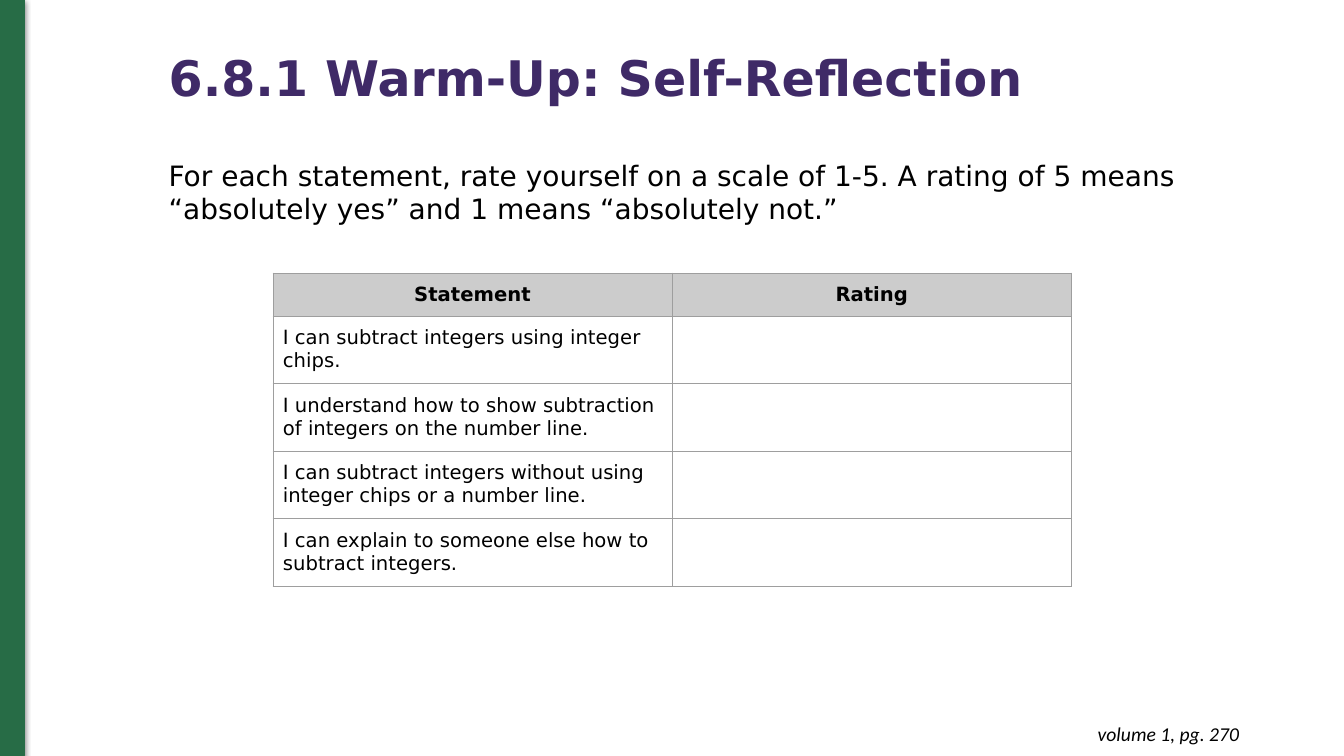
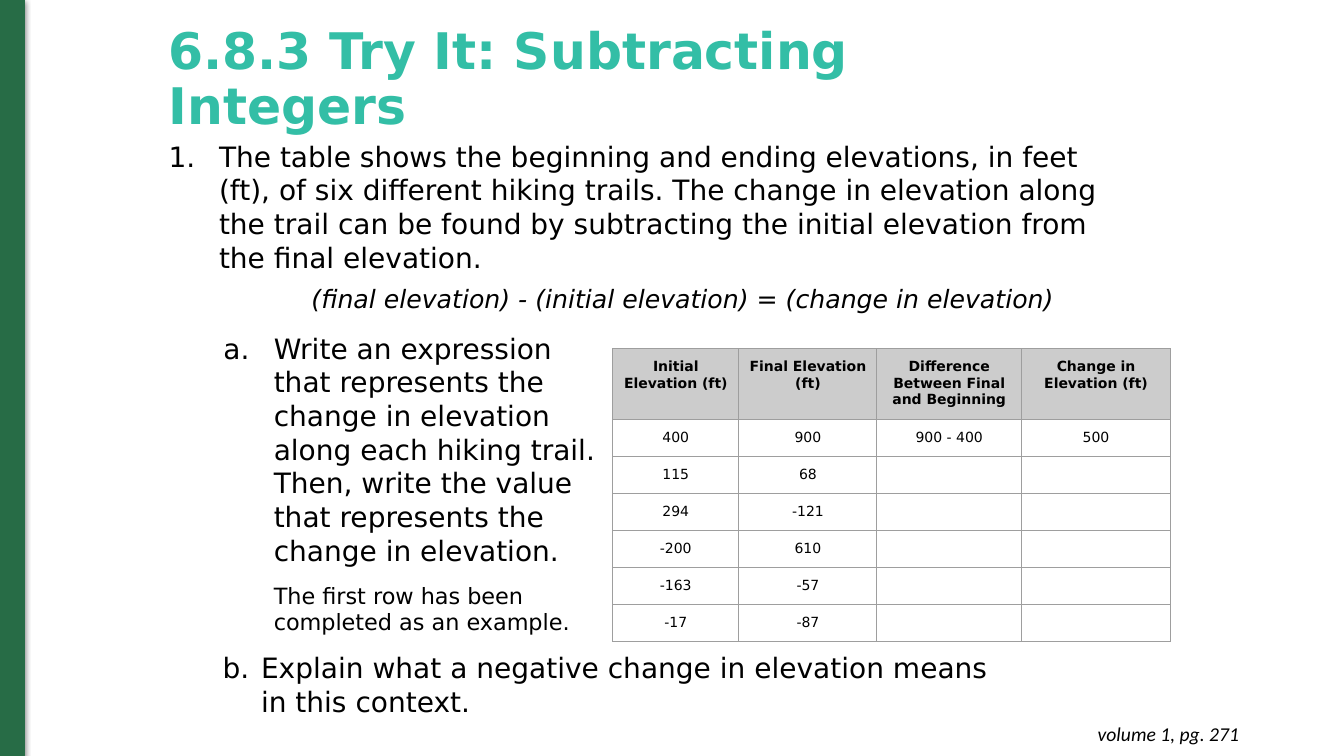
"""Build two lesson slides on subtracting integers."""
from lxml.etree import SubElement
from pptx import Presentation
from pptx.dml.color import RGBColor
from pptx.enum.shapes import MSO_SHAPE
from pptx.enum.text import MSO_ANCHOR, MSO_AUTO_SIZE, PP_ALIGN
from pptx.oxml.ns import qn
from pptx.util import Cm, Pt

COLORS = {
    "band": "276C46", "purple": "3F2A67", "teal": "33BEA6", "text": "000000",
    "header": "CCCCCC", "border": "9E9E9E", "shadow": "000000",
}
FONT = "DejaVu Sans"
WIDE_INSET, FLAT_INSET = 0.25, 0.13
SLIDE_SIZE = (33.87, 19.05)
BAND = (0, 0, 0.61, 19.05)
TITLE_BOX = (4, 0.19, 22.28, 3.68)
FOOTER = {"box": (24.16, 17.93, 7.32, 1.12),
          "font": {"size": 14, "name": "Calibri", "italic": True}, "align": PP_ALIGN.RIGHT}

SLIDES = [
    {
        "title": "6.8.1 Warm-Up: Self-Reflection",
        "title_font": {"size": 35, "color": "purple"},
        "footer": "volume 1, pg. 270",
        "texts": [
            {"text": "For each statement, rate yourself on a scale of 1-5. A rating of 5 means "
                     "“absolutely yes” and 1 means “absolutely not.”",
             "box": (4, 3.86, 26.54, 1.96), "inset": FLAT_INSET},
        ],
        "table": {
            "origin": (6.88, 6.88), "columns": (10.06, 10.06), "rows": (1.09, 1.7),
            "size": 14, "align": PP_ALIGN.LEFT,
            "cells": [
                ("Statement", "Rating"),
                ("I can subtract integers using integer chips.", ""),
                ("I understand how to show subtraction of integers on the number line.", ""),
                ("I can subtract integers without using integer chips or a number line.", ""),
                ("I can explain to someone else how to subtract integers.", ""),
            ],
        },
    },
    {
        "title": "6.8.3 Try It: Subtracting Integers",
        "title_font": {"size": 36, "color": "teal"},
        "footer": "volume 1, pg. 271",
        "texts": [
            {"text": "The table shows the beginning and ending elevations, in feet (ft), of six "
                     "different hiking trails. The change in elevation along the trail can be found "
                     "by subtracting the initial elevation from the final elevation.",
             "box": (4, 3.38, 24.51, 3.68), "inset": FLAT_INSET,
             "number": {"type": "arabicPeriod"}, "indent": 1.27},
            {"text": "(final elevation) - (initial elevation) = (change in elevation)",
             "box": (7.6, 6.88, 20.35, 1.27), "font": {"size": 18, "italic": True}},
            {"text": "Write an expression that represents the change in elevation along each "
                     "hiking trail. Then, write the value that represents the change in elevation.",
             "box": (5.38, 8.1, 10.29, 7.34),
             "number": {"type": "alphaLcPeriod"}, "indent": 1.27},
            {"text": "The first row has been completed as an example.",
             "box": (6.65, 14.53, 8.36, 1.63), "inset": FLAT_INSET, "font": {"size": 16}},
            {"text": "Explain what a negative change in elevation means in this context.",
             "box": (5.36, 16.15, 20.22, 2.24),
             "number": {"type": "alphaLcPeriod", "startAt": "2"}, "indent": 0.97},
        ],
        "table": {
            "origin": (15.44, 8.79), "columns": (3.18, 3.48, 3.64, 3.76), "rows": (1.79, 0.93),
            "size": 10, "align": PP_ALIGN.CENTER,
            "cells": [
                ("Initial Elevation (ft)", "Final Elevation (ft)",
                 "Difference Between Final and Beginning", "Change in Elevation (ft)"),
                ("400", "900", "900 - 400", "500"),
                ("115", "68", "", ""),
                ("294", "-121", "", ""),
                ("-200", "610", "", ""),
                ("-163", "-57", "", ""),
                ("-17", "-87", "", ""),
            ],
        },
    },
]


def rgb(name):
    return RGBColor.from_string(COLORS[name])


def place(shape, box):
    for attribute, value in zip(("left", "top", "width", "height"), box):
        setattr(shape, attribute, Cm(value))


def add_color(parent, name):
    fill = SubElement(parent, qn("a:solidFill"))
    return SubElement(fill, qn("a:srgbClr"), val=COLORS[name])


def write(paragraph, text, align=PP_ALIGN.LEFT, **formats):
    values = {"name": FONT, "size": 20, "bold": False, "italic": False, "color": "text"} | formats
    color = values.pop("color")
    values["size"] = Pt(values["size"])
    paragraph.alignment = align
    run = paragraph.add_run()
    run.text = text
    for attribute, value in values.items():
        setattr(run.font, attribute, value)
    run.font.color.rgb = rgb(color)


def set_insets(frame, vertical):
    frame.margin_left = frame.margin_right = Cm(WIDE_INSET)
    frame.margin_top = frame.margin_bottom = Cm(vertical)


def add_number(paragraph, number, indent):
    properties = paragraph._p.get_or_add_pPr()
    properties.set("marL", str(Cm(indent)))
    properties.set("indent", str(-Cm(indent)))
    bullet_color = SubElement(properties, qn("a:buClr"))
    SubElement(bullet_color, qn("a:srgbClr"), val=COLORS["text"])
    SubElement(properties, qn("a:buFont"), typeface=FONT)
    SubElement(properties, qn("a:buAutoNum"), **number)


def add_text(slide, text, box, inset=WIDE_INSET, font=None, number=None, indent=0,
             align=PP_ALIGN.LEFT):
    frame = slide.shapes.add_textbox(*map(Cm, box)).text_frame
    frame.word_wrap = True
    set_insets(frame, inset)
    paragraph = frame.paragraphs[0]
    if number:
        add_number(paragraph, number, indent)
    write(paragraph, text, align, **(font or {}))


def add_band(slide):
    band = slide.shapes.add_shape(MSO_SHAPE.RECTANGLE, *map(Cm, BAND))
    band.fill.solid()
    band.fill.fore_color.rgb = band.line.color.rgb = rgb("band")
    band.line.width = Pt(0.75)
    band.shadow.inherit = False
    effects = band._element.spPr.find(qn("a:effectLst"))
    shadow = SubElement(effects, qn("a:outerShdw"), blurRad=str(Pt(4.5)), dist=str(Pt(1.5)),
                        dir="5400000", algn="bl", rotWithShape="0")
    color = SubElement(shadow, qn("a:srgbClr"), val=COLORS["shadow"])
    SubElement(color, qn("a:alpha"), val="49000")


def set_title(slide, text, font):
    title = slide.shapes.title
    place(title, TITLE_BOX)
    frame = title.text_frame
    frame.word_wrap = True
    frame.auto_size = MSO_AUTO_SIZE.NONE
    frame.vertical_anchor = MSO_ANCHOR.MIDDLE
    set_insets(frame, FLAT_INSET)
    frame.paragraphs[0].line_spacing = 0.9
    write(frame.paragraphs[0], text, bold=True, **font)


def format_cell(cell, text, size, align, is_header):
    set_insets(cell, WIDE_INSET)
    paragraph = cell.text_frame.paragraphs[0]
    if text:
        write(paragraph, text, align, size=size, bold=is_header)
    else:
        SubElement(paragraph._p, qn("a:endParaRPr"), sz=str(size * 100))
    properties = cell._tc.get_or_add_tcPr()
    for side in ("lnL", "lnR", "lnT", "lnB"):
        add_color(SubElement(properties, qn(f"a:{side}"), w=str(Pt(0.75))), "border")
    if is_header:
        cell.fill.solid()
        cell.fill.fore_color.rgb = rgb("header")
    else:
        cell.fill.background()


def add_grid(slide, origin, columns, rows, size, align, cells):
    header_height, row_height = rows
    heights = [header_height] + [row_height] * (len(cells) - 1)
    box = (*origin, sum(columns), sum(heights))
    table = slide.shapes.add_table(len(cells), len(columns), *map(Cm, box)).table
    table.first_row = table.horz_banding = False
    for column, width in zip(table.columns, columns):
        column.width = Cm(width)
    for index, (row, height, texts) in enumerate(zip(table.rows, heights, cells)):
        row.height = Cm(height)
        for cell, text in zip(row.cells, texts):
            format_cell(cell, text, size, PP_ALIGN.CENTER if index == 0 else align, index == 0)


def main():
    presentation = Presentation()
    presentation.slide_width, presentation.slide_height = map(Cm, SLIDE_SIZE)
    for content in SLIDES:
        slide = presentation.slides.add_slide(presentation.slide_layouts[5])
        add_band(slide)
        set_title(slide, content["title"], content["title_font"])
        for text in content["texts"]:
            add_text(slide, **text)
        add_grid(slide, **content["table"])
        add_text(slide, content["footer"], **FOOTER)
    presentation.save("out.pptx")


if __name__ == "__main__":
    main()
